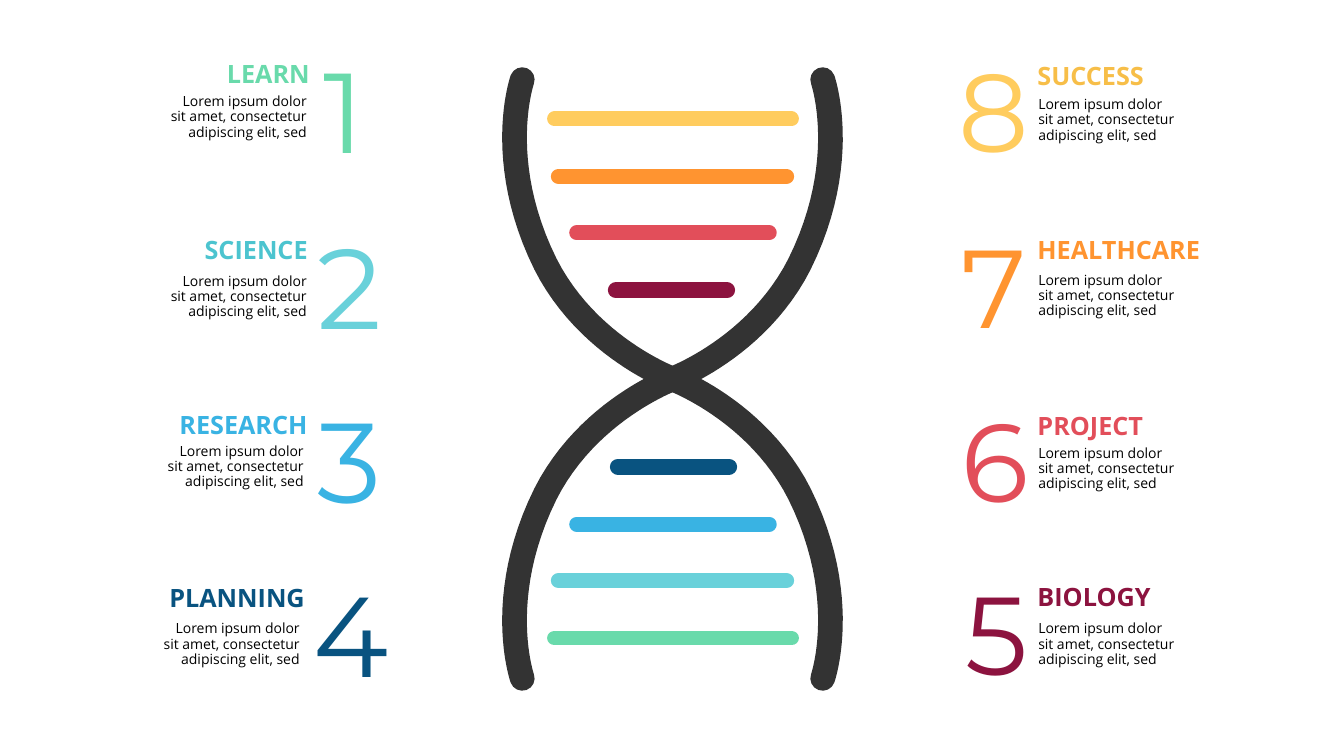
from pptx import Presentation
from pptx.dml.color import RGBColor
from pptx.enum.shapes import MSO_CONNECTOR as Connector
from pptx.enum.text import PP_ALIGN as Align
from pptx.util import Pt
from pptx.oxml.ns import qn
from lxml.etree import SubElement

PX = 9144  # one hundredth of an inch in EMU
CENTER_X, CENTER_Y = 667, 376
COLORS = {
    "black": "000000", "strand": "333333", "green": "69DAAB",
    "aqua": "69D1DA", "teal": "4CC4CF", "sky": "39B3E3", "navy": "095380",
    "wine": "8C133F", "red": "E24E5A", "orange": "FF9430",
    "yellow": "FFCC5E", "gold": "F7BE48",
}
DESCRIPTION = "Lorem ipsum dolor sit amet, consectetur adipiscing elit, sed"

# Rungs: color, y, length, line width in points, shift of the middle
RUNGS = [
    ("yellow", 118, 235, 10.62, 0), ("orange", 175, 226, 11, 0),
    ("red", 231, 191, 10.62, 0), ("wine", 288, 110, 11.62, -1),
    ("navy", 463, 110, 11.62, 1), ("sky", 520, 191, 10.62, 0),
    ("aqua", 576, 226, 11, 0), ("green", 633, 235, 10.62, 0),
]

# Steps: digit, title, digit color, title color,
# then left and top of the title, the digit and the description
LEFT_STEPS = [
    ("1", "LEARN", "green", "green", (225, 61), (321, 40), (154, 89)),
    ("2", "SCIENCE", "aqua", "teal", (203, 236), (315, 214), (154, 267)),
    ("3", "RESEARCH", "sky", "sky", (178, 409), (315, 387), (151, 436)),
    ("4", "PLANNING", "navy", "navy", (168, 581), (311, 560), (147, 612)),
]
RIGHT_STEPS = [
    ("8", "SUCCESS", "yellow", "gold", (1029, 63), (951, 42), (1020, 92)),
    ("7", "HEALTHCARE", "orange", "orange", (1029, 236), (954, 216), (1020, 266)),
    ("6", "PROJECT", "red", "red", (1029, 410), (954, 389), (1020, 438)),
    ("5", "BIOLOGY", "wine", "wine", (1029, 580), (958, 560), (1020, 612)),
]

# One arm of the helix, as Bezier curves measured from the crossing
ARM = [
    [(0, 0), (0, 0), (84, 31), (126, 114)],
    [(126, 114), (177, 217), (149, 297), (149, 297)],
]


def bezier_point(curve, t):
    weights = ((1 - t) ** 3, 3 * t * (1 - t) ** 2, 3 * t * t * (1 - t), t ** 3)
    return tuple(sum(w * point[axis] for w, point in zip(weights, curve))
                 for axis in (0, 1))


def style_line(shape, color, width):
    shape.line.color.rgb = RGBColor.from_string(COLORS[color])
    shape.line.width = Pt(width)
    shape.line._get_or_add_ln().set("cap", "rnd")


def add_strand(slide, direction, steps=24):
    arm = [bezier_point(curve, step / steps)
           for curve in ARM for step in range(1, steps + 1)]
    offsets = [(-x, -y) for x, y in reversed(arm)] + [(0, 0)] + arm
    points = [(round((CENTER_X + direction * x) * PX), round((CENTER_Y + y) * PX))
              for x, y in offsets]
    builder = slide.shapes.build_freeform(*points[0])
    builder.add_line_segments(points[1:], close=False)
    shape = builder.convert_to_shape()
    shape.shadow.inherit = False
    shape.fill.background()
    style_line(shape, "strand", 17.62)


def add_rung(slide, color, y, length, width, shift):
    left = round(CENTER_X + shift - length / 2)
    rung = slide.shapes.add_connector(
        Connector.STRAIGHT, left * PX, y * PX, (left + length) * PX, y * PX)
    style_line(rung, color, width)
    SubElement(rung._element.spPr, qn("a:effectLst"))


def add_text(slide, text, position, size, *, font="Open Sans", points=10,
             color="black", bold=False, align=Align.LEFT, wrap=False,
             insets=(0, 0), spacing=0.9):
    box = slide.shapes.add_textbox(*(value * PX for value in position + size))
    frame = box.text_frame
    frame.word_wrap = wrap
    frame.margin_left = frame.margin_right = insets[0] * PX
    frame.margin_top = frame.margin_bottom = insets[1] * PX
    paragraph = frame.paragraphs[0]
    paragraph.alignment = align
    paragraph.line_spacing = spacing
    run = paragraph.add_run()
    run.text = text
    run.font.name = font
    run.font.size = Pt(points)
    run.font.bold = bold
    run.font.color.rgb = RGBColor.from_string(COLORS[color])


def add_step(slide, step, digit_points, align):
    digit, title, digit_color, title_color, title_at, digit_at, text_at = step
    add_text(slide, title, title_at, (18 * len(title), 44), points=18,
             color=title_color, bold=True)
    add_text(slide, digit, digit_at, (130, 164), font="Montserrat",
             points=digit_points, color=digit_color, spacing=1.0)
    add_text(slide, DESCRIPTION, text_at, (160, 61), align=align, wrap=True,
             insets=(10, 5))


def main():
    presentation = Presentation()
    presentation.slide_width = 1333 * PX
    presentation.slide_height = 750 * PX
    slide = presentation.slides.add_slide(presentation.slide_layouts[6])

    # Helix
    for direction in (1, -1):
        add_strand(slide, direction)
    for rung in RUNGS:
        add_rung(slide, *rung)

    # Numbered steps on both sides
    for step in LEFT_STEPS:
        add_step(slide, step, 81, Align.RIGHT)
    for step in RIGHT_STEPS:
        add_step(slide, step, 79, Align.LEFT)

    presentation.save("out.pptx")


if __name__ == "__main__":
    main()
